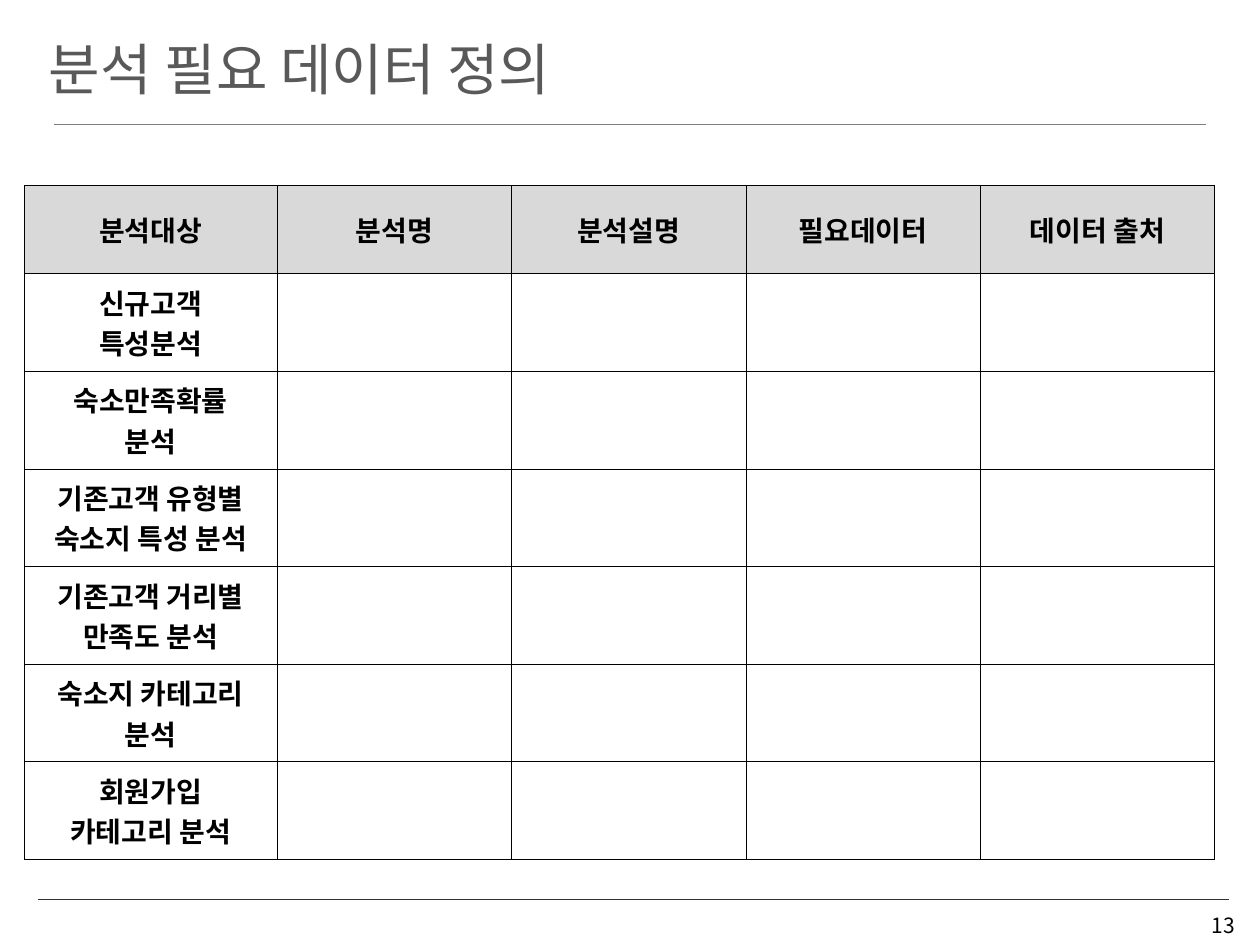
"""Build the slide that defines the data needed for each analysis."""
from lxml import etree
from pptx import Presentation
from pptx.dml.color import RGBColor
from pptx.enum import shapes, text
from pptx.oxml import ns
from pptx.util import Inches, Pt

FONT = "Noto Sans CJK KR"
BLACK = RGBColor(0x00, 0x00, 0x00)
WHITE = RGBColor(0xFF, 0xFF, 0xFF)
TITLE_GRAY = RGBColor(0x59, 0x59, 0x59)
RULE_GRAY = RGBColor(0x80, 0x80, 0x80)
FOOTER_GRAY = RGBColor(0x33, 0x33, 0x33)
HEADER_FILL = RGBColor(0xD9, 0xD9, 0xD9)

HEADINGS = ["분석대상", "분석명", "분석설명", "필요데이터", "데이터 출처"]
TARGETS = [
    ["신규고객", "특성분석"],
    ["숙소만족확률", "분석"],
    ["기존고객 유형별", "숙소지 특성 분석"],
    ["기존고객 거리별", "만족도 분석"],
    ["숙소지 카테고리", "분석"],
    ["회원가입", "카테고리 분석"],
]
COLUMN_WIDTHS = [2.01] + [1.86] * 4
ROW_HEIGHTS = [0.7] + [0.775] * len(TARGETS)


def write_text(frame, lines, size, color=BLACK, bold=False, align=text.PP_ALIGN.LEFT):
    """Write each line as a paragraph with one shared format."""
    for index, line in enumerate(lines):
        paragraph = frame.add_paragraph() if index else frame.paragraphs[0]
        paragraph.alignment = align
        run = paragraph.add_run()
        run.text = line
        run.font.name = FONT
        run.font.size = Pt(size)
        run.font.bold = bold
        run.font.color.rgb = color
        etree.SubElement(run._r.get_or_add_rPr(), ns.qn("a:ea"), typeface=FONT)


def add_label(slide, label, left, top, width, height, **style):
    """Add a vertically centred line of text."""
    box = slide.shapes.add_textbox(Inches(left), Inches(top), Inches(width), Inches(height))
    frame = box.text_frame
    frame.word_wrap = True
    frame.vertical_anchor = text.MSO_ANCHOR.MIDDLE
    frame.margin_top = frame.margin_bottom = 0
    write_text(frame, [label], **style)


def add_rule(slide, left, right, y, color):
    """Add a thin horizontal rule."""
    rule = slide.shapes.add_connector(
        shapes.MSO_CONNECTOR.STRAIGHT, Inches(left), Inches(y), Inches(right), Inches(y))
    rule.line.color.rgb = color
    rule.line.width = Pt(0.5)
    etree.SubElement(rule._element.spPr, ns.qn("a:effectLst"))


def style_cell(cell, fill):
    """Give a cell its borders, fill, margins and anchor."""
    properties = cell._tc.get_or_add_tcPr()
    for side in ("lnL", "lnR", "lnT", "lnB"):
        border = etree.SubElement(properties, ns.qn(f"a:{side}"), w=str(Pt(0.25)))
        solid = etree.SubElement(border, ns.qn("a:solidFill"))
        etree.SubElement(solid, ns.qn("a:srgbClr"), val=str(BLACK))
    cell.fill.solid()
    cell.fill.fore_color.rgb = fill
    cell.margin_left = cell.margin_right = Inches(0.04)
    cell.margin_top = cell.margin_bottom = Inches(0.04)
    cell.vertical_anchor = text.MSO_ANCHOR.MIDDLE


def add_analysis_table(slide):
    """Add the table of analysis targets with its columns left to fill in."""
    table = slide.shapes.add_table(
        len(ROW_HEIGHTS), len(COLUMN_WIDTHS), Inches(0.19), Inches(1.47),
        Inches(sum(COLUMN_WIDTHS)), Inches(sum(ROW_HEIGHTS))).table
    table.first_row = table.horz_banding = False
    for column, width in zip(table.columns, COLUMN_WIDTHS):
        column.width = Inches(width)
    for row, height in zip(table.rows, ROW_HEIGHTS):
        row.height = Inches(height)

    blanks = [[]] * (len(HEADINGS) - 1)
    content = [[[heading] for heading in HEADINGS]]
    content += [[target] + blanks for target in TARGETS]
    for row_index, row_content in enumerate(content):
        for column_index, lines in enumerate(row_content):
            cell = table.cell(row_index, column_index)
            style_cell(cell, WHITE if row_index else HEADER_FILL)
            write_text(cell.text_frame, lines, size=16, bold=True, align=text.PP_ALIGN.CENTER)


def main():
    """Create the slide and save it."""
    deck = Presentation()
    deck.slide_width, deck.slide_height = Inches(10), Inches(7.5)
    slide = deck.slides.add_slide(deck.slide_layouts[6])
    add_rule(slide, 0.43, 9.57, 0.99, RULE_GRAY)
    add_rule(slide, 0.3, 9.75, 7.14, FOOTER_GRAY)
    add_label(slide, "13", 7.37, 7.2, 2.53, 0.29, size=12, align=text.PP_ALIGN.RIGHT)
    add_label(slide, "분석 필요 데이터 정의", 0.29, 0.24, 8.19, 0.6, size=32, color=TITLE_GRAY)
    add_analysis_table(slide)
    deck.save("out.pptx")


if __name__ == "__main__":
    main()
